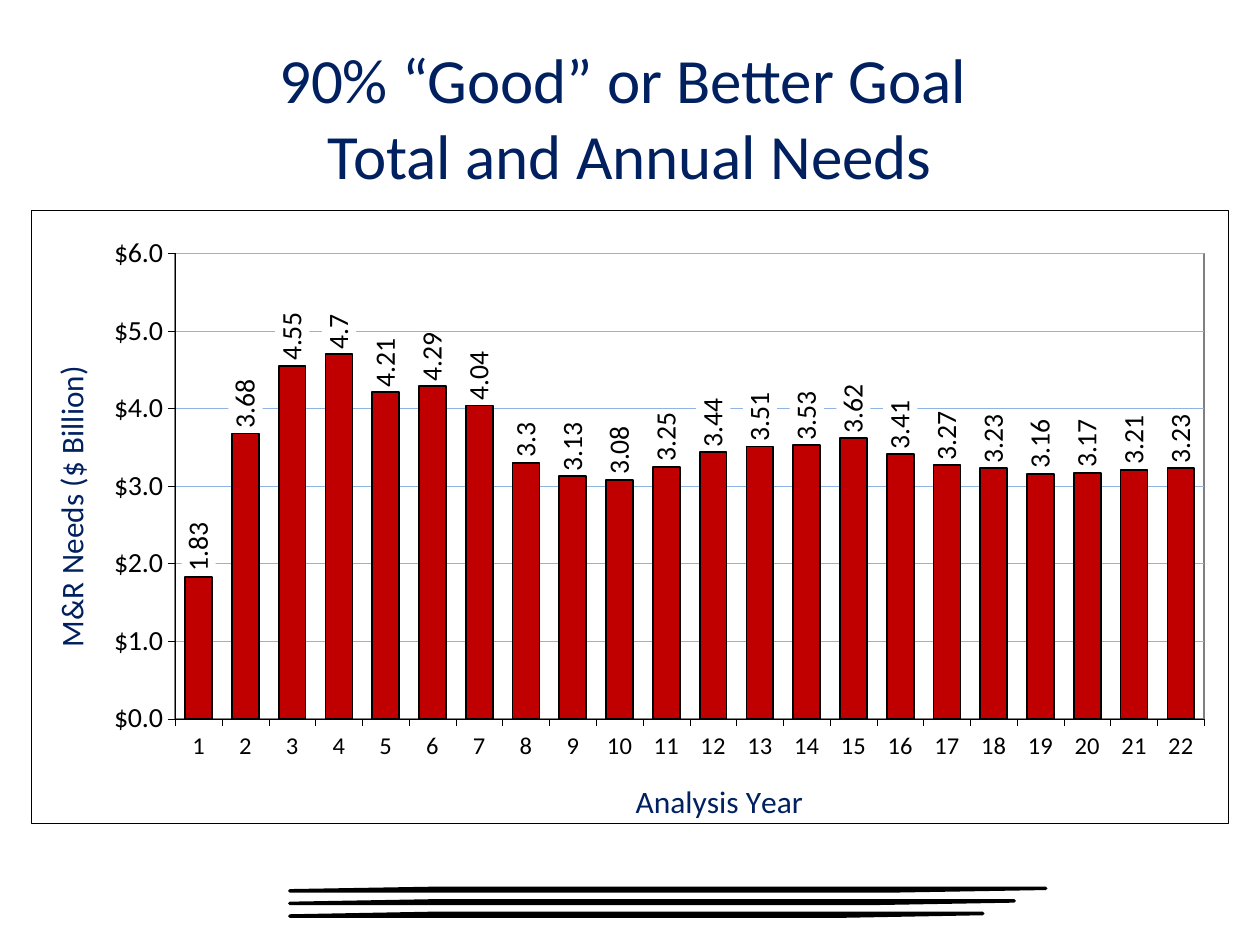
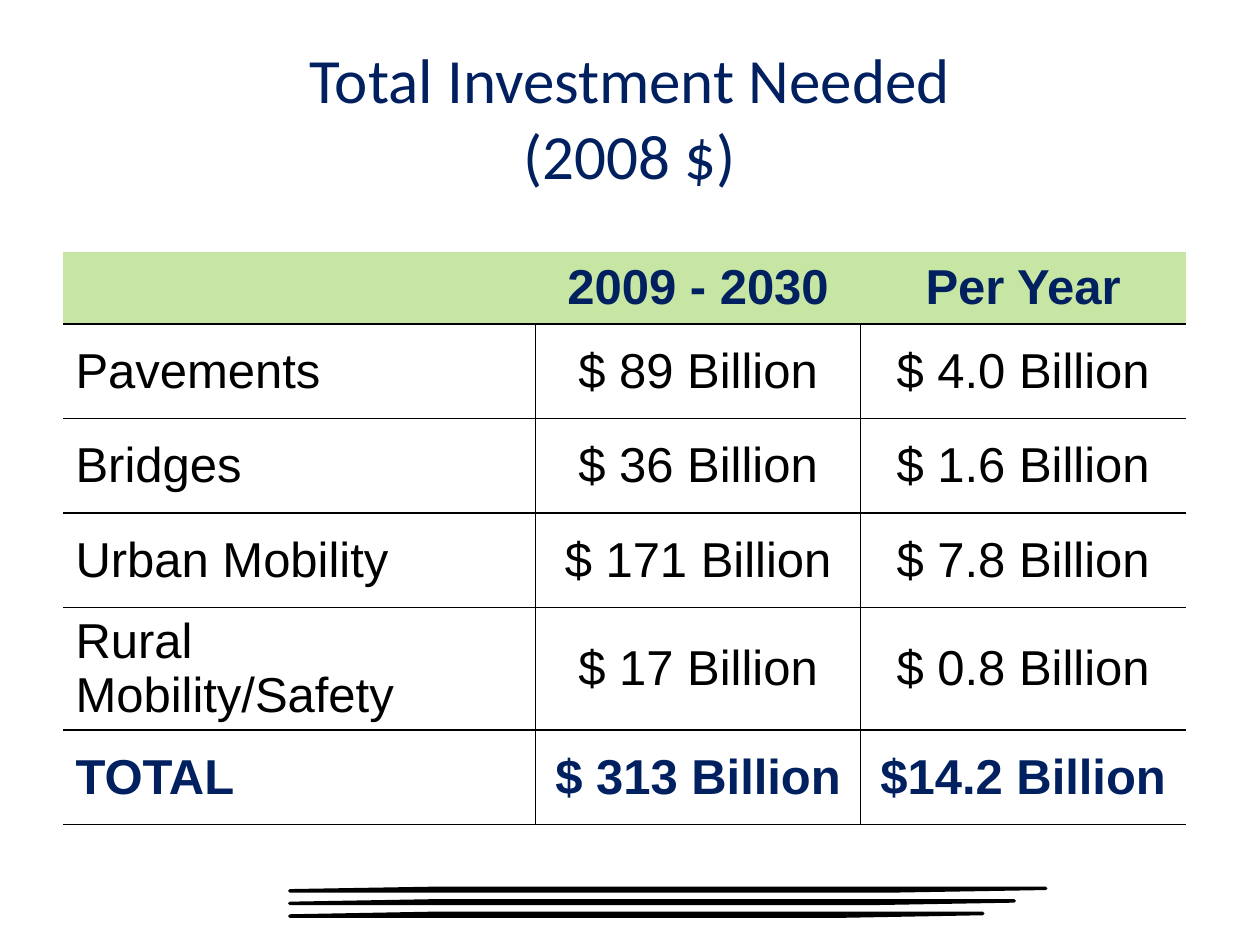
"""Build two slides on pavement needs and total investment needed."""
from lxml import etree
from pptx import Presentation
from pptx.chart.data import CategoryChartData
from pptx.dml.color import RGBColor
from pptx.enum.chart import XL_CHART_TYPE, XL_LABEL_POSITION, XL_TICK_MARK
from pptx.enum.shapes import MSO_SHAPE
from pptx.enum.text import MSO_ANCHOR, PP_ALIGN
from pptx.oxml import parse_xml
from pptx.oxml.ns import nsdecls, qn
from pptx.util import Inches, Pt

COLUMNS = XL_CHART_TYPE.COLUMN_CLUSTERED
OUTSIDE_END = XL_LABEL_POSITION.OUTSIDE_END
TICK_OUTSIDE = XL_TICK_MARK.OUTSIDE
STRIPE = MSO_SHAPE.FLOWCHART_DATA
MIDDLE = MSO_ANCHOR.MIDDLE
LEFT, CENTER = PP_ALIGN.LEFT, PP_ALIGN.CENTER

NAVY, BLACK, WHITE = "002060", "000000", "FFFFFF"
RED, GREEN, BLUE, GRAY = "C00000", "C7E6A4", "8EB4E3", "808080"
QUARTER_TURN = "-5400000"

TITLES = [
    ["90% “Good” or Better Goal ", "Total and Annual Needs"],
    ["Total Investment Needed", "(2008 $)"],
]
STRIPES = [(7.05, 6), (7.15, 5.75), (7.25, 5.5)]
NEEDS = [1.83, 3.68, 4.55, 4.7, 4.21, 4.29, 4.04, 3.3, 3.13, 3.08, 3.25,
         3.44, 3.51, 3.53, 3.62, 3.41, 3.27, 3.23, 3.16, 3.17, 3.21, 3.23]
INVESTMENTS = [
    ["", "2009 - 2030", "Per Year"],
    ["Pavements", "$ 89 Billion", "$ 4.0 Billion"],
    ["Bridges", "$ 36 Billion", "$ 1.6 Billion"],
    ["Urban Mobility", "$ 171 Billion", "$ 7.8 Billion"],
    ["Rural Mobility/Safety", "$ 17 Billion", "$ 0.8 Billion"],
    ["TOTAL", "$ 313 Billion", "$14.2 Billion"],
]


def style_font(font, color, size, name="Calibri", bold=False):
    """Give a font its colour, size, face and weight."""
    for attribute, value in {"size": Pt(size), "name": name, "bold": bold}.items():
        setattr(font, attribute, value)
    font.color.rgb = RGBColor.from_string(color)


def set_layout(parent, index, **places):
    """Place a chart part by fractions of the chart."""
    for old in parent.findall(qn("c:layout")):
        parent.remove(old)
    layout = parse_xml(f'<c:layout {nsdecls("c")}><c:manualLayout/></c:layout>')
    for tag, value in places.items():
        etree.SubElement(layout[0], qn(f"c:{tag}")).set("val", str(value))
    parent.insert(index, layout)


deck = Presentation()
deck.slide_width, deck.slide_height = Inches(10), Inches(7.5)
pages = []
for lines in TITLES:
    page = deck.slides.add_slide(deck.slide_layouts[6])
    pages.append(page)
    for top, width in STRIPES:
        stripe = page.shapes.add_shape(STRIPE, Inches(2.3), Inches(top), Inches(width), Inches(0.02))
        stripe.shadow.inherit = False
        stripe.fill.solid()
        stripe.fill.fore_color.rgb = RGBColor.from_string(BLACK)
        stripe.line.color.rgb = RGBColor.from_string(BLACK)
        stripe.line.width = Pt(2)
    box = page.shapes.add_textbox(Inches(0.5), Inches(0.3), Inches(9), Inches(1.25))
    box.fill.solid()
    box.fill.fore_color.rgb = RGBColor.from_string(WHITE)
    box.text_frame.word_wrap = True
    box.text_frame.vertical_anchor = MIDDLE
    para = box.text_frame.paragraphs[0]
    para.alignment = CENTER
    for number, line in enumerate(lines):
        if number:
            para.add_line_break()
        span = para.add_run()
        span.text = line
        style_font(span.font, NAVY, 36)

needs_page, investment_page = pages

data = CategoryChartData()
data.categories = [str(year) for year in range(1, len(NEEDS) + 1)]
data.add_series("Series 1", NEEDS)
chart = needs_page.shapes.add_chart(
    COLUMNS, Inches(0.25), Inches(1.67), Inches(9.5), Inches(4.92), data).chart
style_font(chart.font, BLACK, 10, "Arial")
chart.has_legend = False
chart.has_title = False

year_axis, needs_axis = chart.category_axis, chart.value_axis
for axis, title, size in [(year_axis, "Analysis Year", 14),
                          (needs_axis, "M&R Needs ($ Billion)", 16)]:
    style_font(axis.tick_labels.font, BLACK, size)
    axis.major_tick_mark = TICK_OUTSIDE
    axis.format.line.color.rgb = RGBColor.from_string(BLACK)
    axis.format.line.width = Pt(0.25)
    frame = axis.axis_title.text_frame
    frame.text = title
    style_font(frame.paragraphs[0].runs[0].font, NAVY, 18)
needs_axis.minimum_scale, needs_axis.maximum_scale, needs_axis.major_unit = 0, 6, 1
needs_axis.tick_labels.number_format = '"$"#,##0.0'
needs_axis.tick_labels.number_format_is_linked = False
gridline = needs_axis.major_gridlines.format.line
gridline.color.rgb = RGBColor.from_string(BLUE)
gridline.width = Pt(0.25)

plot = chart.plots[0]
plot.gap_width = 74
plot.vary_by_categories = False
series = plot.series[0]
series.format.fill.solid()
series.format.fill.fore_color.rgb = RGBColor.from_string(RED)
series.format.line.color.rgb = RGBColor.from_string(BLACK)
series.format.line.width = Pt(1)
labels = series.data_labels
labels.show_value = True
labels.position = OUTSIDE_END
style_font(labels.font, BLACK, 16)

chart_root = chart.element
plot_area = chart_root.find(f".//{qn('c:plotArea')}")
label_text = plot_area.find(f".//{qn('c:dLbls')}/{qn('c:txPr')}")
for body in (label_text.find(qn("a:bodyPr")),
             needs_axis.axis_title.element.find(f".//{qn('a:bodyPr')}")):
    body.set("rot", QUARTER_TURN)
    body.set("vert", "horz")
set_layout(plot_area, 0, layoutTarget="inner", xMode="edge", yMode="edge",
           x=0.12, y=0.07, w=0.86, h=0.76)
set_layout(year_axis.axis_title.element, 1, xMode="edge", yMode="edge", x=0.5, y=0.92)
set_layout(needs_axis.axis_title.element, 1, xMode="edge", yMode="edge", x=0.01, y=0.25)

backgrounds = []
for line_color, width in [(BLACK, 0.25), (GRAY, 1), (None, 0)]:
    stroke = f'<a:solidFill><a:srgbClr val="{line_color}"/></a:solidFill>' if line_color else "<a:noFill/>"
    backgrounds.append(parse_xml(
        f'<c:spPr {nsdecls("c", "a")}><a:solidFill><a:srgbClr val="{WHITE}"/></a:solidFill>'
        f'<a:ln w="{Pt(width)}">{stroke}</a:ln></c:spPr>'))
chart_back, plot_back, label_back = backgrounds
chart_root.find(qn("c:chart")).addnext(chart_back)
plot_area.append(plot_back)
label_text.addprevious(label_back)

table = investment_page.shapes.add_table(
    len(INVESTMENTS), 3, Inches(0.5), Inches(2), Inches(8.92), Inches(4.32)).table
table.first_row = table.horz_banding = False
for column, width in zip(table.columns, (3.75, 2.58, 2.58)):
    column.width = Inches(width)
for row, texts in enumerate(INVESTMENTS):
    table.rows[row].height = Inches(0.75 if row else 0.57)
    strong = row in (0, len(INVESTMENTS) - 1)
    for col, text in enumerate(texts):
        cell = table.cell(row, col)
        cell.vertical_anchor = MIDDLE
        cell.margin_top = cell.margin_bottom = Inches(0.02)
        para = cell.text_frame.paragraphs[0]
        para.alignment = CENTER if col else LEFT
        style_font(para.font, NAVY if strong else BLACK, 28, "Arial", strong)
        if text:
            span = para.add_run()
            span.text = text
            style_font(span.font, NAVY if strong else BLACK, 28, "Arial", strong)
        edges = {"L": row and col, "R": row and col < 2, "T": row, "B": True}
        for edge, drawn in edges.items():
            stroke = f'<a:solidFill><a:srgbClr val="{BLACK}"/></a:solidFill>' if drawn else "<a:noFill/>"
            cell._tc.get_or_add_tcPr().append(parse_xml(
                f'<a:ln{edge} {nsdecls("a")} w="{Pt(1)}">{stroke}</a:ln{edge}>'))
        cell.fill.solid()
        cell.fill.fore_color.rgb = RGBColor.from_string(WHITE if row else GREEN)

deck.save("out.pptx")
